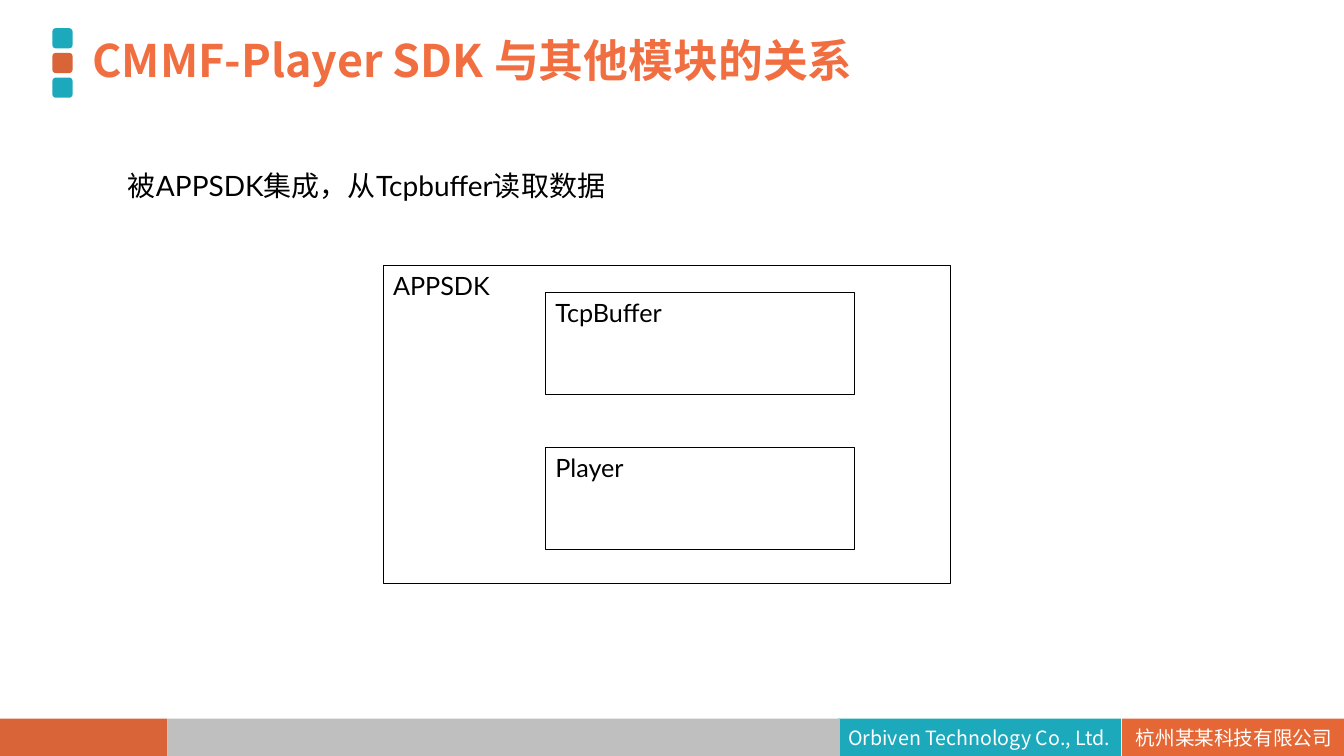
from pptx import Presentation
from pptx.dml.color import RGBColor
from pptx.enum.shapes import MSO_SHAPE as Shape
from pptx.enum.text import MSO_ANCHOR as Anchor, PP_ALIGN as Align
from pptx.oxml.ns import qn
from pptx.util import Inches, Pt

COLORS = {
    "teal": "1CA9BC",
    "rust": "D96437",
    "orange": "E46735",
    "title": "F16E40",
    "grey": "BFBFBF",
    "white": "FFFFFF",
    "black": "000000",
}
LATO = "Lato"
NOTO = "Noto Sans CJK SC"


def rgb(name):
    return RGBColor.from_string(COLORS[name])


def write(frame, text, size, color, font=LATO, bold=False,
          align=Align.LEFT, anchor=Anchor.TOP, spacing=1.0):
    frame.word_wrap = True
    frame.vertical_anchor = anchor
    frame.text = text
    paragraph = frame.paragraphs[0]
    paragraph.alignment = align
    paragraph.line_spacing = spacing
    for run in paragraph.runs:
        run.font.size = Pt(size)
        run.font.bold = bold
        run.font.name = font
        run.font.color.rgb = rgb(color)
        # East Asian typeface for the Chinese characters
        east_asian = run.font._element.makeelement(qn("a:ea"), {"typeface": NOTO})
        run.font._element.append(east_asian)


def add_block(slide, left, top, width, height, color, kind=Shape.RECTANGLE):
    block = slide.shapes.add_shape(
        kind, Inches(left), Inches(top), Inches(width), Inches(height))
    block.shadow.inherit = False
    block.fill.solid()
    block.fill.fore_color.rgb = rgb(color)
    block.line.fill.background()
    return block


def add_module(slide, left, top, width, height, name):
    module = slide.shapes.add_shape(
        Shape.RECTANGLE, Inches(left), Inches(top), Inches(width), Inches(height))
    module.shadow.inherit = False
    module.fill.background()
    module.line.color.rgb = rgb("black")
    module.line.width = Pt(0.75)
    write(module.text_frame, name, 18, "black")


def add_text(slide, left, top, width, height, text, size, color, **style):
    box = slide.shapes.add_textbox(
        Inches(left), Inches(top), Inches(width), Inches(height))
    write(box.text_frame, text, size, color, **style)


def add_footer(slide):
    top, height = 7.13, 0.37
    segments = [
        (0, 1.66, "rust", "", LATO),
        (8.31, 2.81, "teal", "Orbiven Technology Co., Ltd.", NOTO),
        (11.13, 2.22, "orange", "杭州某某科技有限公司", LATO),
        (1.66, 6.67, "grey", "", LATO),
    ]
    for left, width, color, label, font in segments:
        segment = add_block(slide, left, top, width, height, color)
        if label:
            write(segment.text_frame, label, 14, "white", font=font,
                  align=Align.CENTER, anchor=Anchor.MIDDLE)


def add_title_marker(slide):
    for index, color in enumerate(("teal", "rust", "teal")):
        add_block(slide, 0.52, 0.28 + index * 0.245, 0.2, 0.2, color,
                  Shape.ROUNDED_RECTANGLE)


def main():
    presentation = Presentation()
    presentation.slide_width = Inches(13.33)
    presentation.slide_height = Inches(7.5)
    slide = presentation.slides.add_slide(presentation.slide_layouts[6])

    add_footer(slide)

    # Heading and summary
    add_title_marker(slide)
    add_text(slide, 0.82, 0.3, 9.53, 0.66, "CMMF-Player SDK 与其他模块的关系",
             32, "title", font=NOTO, bold=True, anchor=Anchor.MIDDLE, spacing=0.9)
    add_text(slide, 1.17, 1.54, 10.45, 0.76, "被APPSDK集成，从Tcpbuffer读取数据",
             20, "black", spacing=1.25)

    # Module diagram: the SDK holds two parts
    add_module(slide, 3.8, 2.63, 5.63, 3.16, "APPSDK")
    for index, name in enumerate(("TcpBuffer", "Player")):
        add_module(slide, 5.41, 2.9 + index * 1.54, 3.07, 1.01, name)

    presentation.save("out.pptx")


if __name__ == "__main__":
    main()
